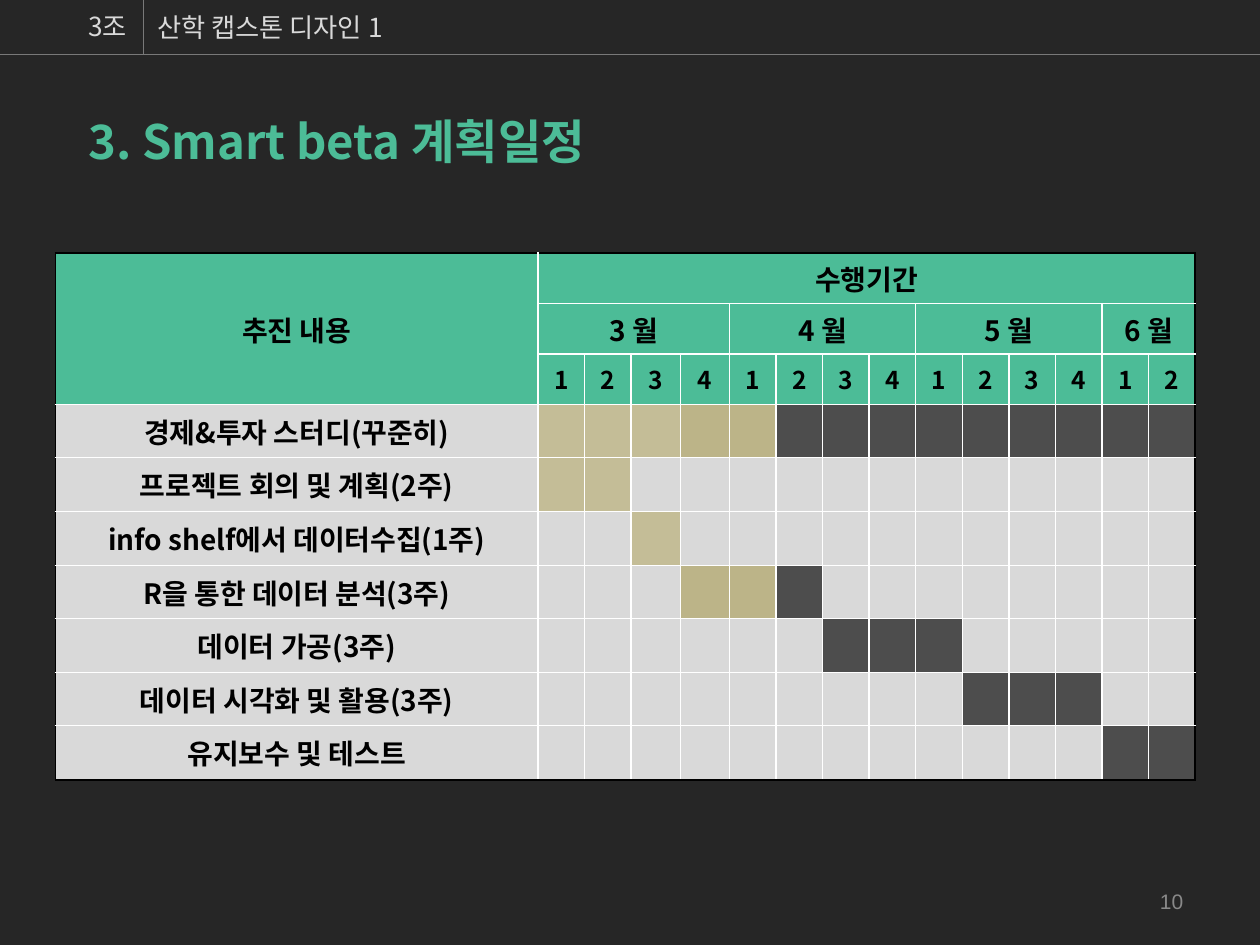
from lxml.etree import SubElement
from pptx import Presentation
from pptx.dml.color import RGBColor
from pptx.enum.lang import MSO_LANGUAGE_ID as Language
from pptx.enum.shapes import MSO_CONNECTOR
from pptx.enum.text import MSO_ANCHOR as Anchor, MSO_AUTO_SIZE as AutoSize, PP_ALIGN as Align
from pptx.oxml import parse_xml
from pptx.oxml.ns import nsdecls, qn
from pptx.util import Inches, Pt

KOREAN_FONT = "Noto Sans CJK KR"
GREEN, LIGHT, DARK = "4CBC97", "D9D9D9", "4D4D4D"
TAN, DEEP_TAN = "C4BD97", "BCB488"
BLACK, WHITE = "000000", "FFFFFF"

COLUMN_WIDTHS = [3.83, 0.37, 0.37, 0.39, 0.39] + [0.37] * 10
ROW_HEIGHTS = [0.4, 0.4, 0.4, 0.42, 0.43, 0.43, 0.42, 0.43, 0.42, 0.43]
MONTHS = [("3 월", 4), ("4 월", 4), ("5 월", 4), ("6 월", 2)]

# Each task has bars of (first week, number of weeks, colour)
TASKS = [
    ("경제&투자 스터디(꾸준히)", [(1, 3, TAN), (4, 2, DEEP_TAN), (6, 9, DARK)]),
    ("프로젝트 회의 및 계획(2주)", [(1, 2, TAN)]),
    ("info shelf에서 데이터수집(1주)", [(3, 1, TAN)]),
    ("R을 통한 데이터 분석(3주)", [(4, 2, DEEP_TAN), (6, 1, DARK)]),
    ("데이터 가공(3주)", [(7, 3, DARK)]),
    ("데이터 시각화 및 활용(3주)", [(10, 3, DARK)]),
    ("유지보수 및 테스트", [(13, 2, DARK)]),
]


def color(value):
    return RGBColor.from_string(value)


def set_text(text_frame, text, size, text_color, bold=False, align=Align.LEFT, font_name=KOREAN_FONT):
    text_frame.text = text
    paragraph = text_frame.paragraphs[0]
    paragraph.alignment = align
    font = paragraph.runs[0].font
    font.size, font.bold, font.name = Pt(size), bold, font_name
    font.color.rgb = color(text_color)
    for script_tag in ("a:ea", "a:cs"):
        SubElement(font._element, qn(script_tag)).set("typeface", font_name)


def add_text(slide, left, top, width, height, text, size, text_color, **style):
    shape = slide.shapes.add_textbox(Inches(left), Inches(top), Inches(width), Inches(height))
    shape.text_frame.word_wrap = True
    set_text(shape.text_frame, text, size, text_color, **style)
    return shape


def add_title(slide, text):
    title = slide.shapes.title
    title.left, title.top = Inches(0.6), Inches(0.84)
    title.width, title.height = Inches(5.98), Inches(0.55)
    text_frame = title.text_frame
    text_frame.auto_size = AutoSize.NONE
    text_frame.word_wrap = True
    text_frame.vertical_anchor = Anchor.TOP
    set_text(text_frame, text, 27, GREEN, bold=True)


def add_page_number(slide, text):
    shape = add_text(slide, 7.16, 6.95, 2.33, 0.4, text, 12, "898989",
                     align=Align.RIGHT, font_name="Arial")
    shape.text_frame.vertical_anchor = Anchor.MIDDLE
    shape.text_frame.paragraphs[0].runs[0].font.language_id = Language.ENGLISH_US


def add_line(slide, x1, y1, x2, y2):
    line = slide.shapes.add_connector(
        MSO_CONNECTOR.STRAIGHT, Inches(x1), Inches(y1), Inches(x2), Inches(y2))
    line.line.color.rgb = color("797979")
    line.line.width = Pt(0.75)
    SubElement(line._element.spPr, qn("a:effectLst"))


def set_borders(cell, **sides):
    properties = cell._tc.get_or_add_tcPr()
    for index, side in enumerate("LRTB"):
        border = parse_xml(
            f'<a:ln{side} {nsdecls("a")} w="12700"><a:solidFill>'
            f'<a:srgbClr val="{sides[side]}"/></a:solidFill></a:ln{side}>')
        properties.insert(index, border)


def format_cells(table):
    last_row, last_column = len(ROW_HEIGHTS) - 1, len(COLUMN_WIDTHS) - 1
    for row in range(last_row + 1):
        for column in range(last_column + 1):
            cell = table.cell(row, column)
            cell.margin_left = cell.margin_right = Inches(0.02)
            cell.margin_top = cell.margin_bottom = Inches(0.02)
            cell.vertical_anchor = Anchor.MIDDLE
            cell.fill.solid()
            cell.fill.fore_color.rgb = color(GREEN if row < 3 else LIGHT)
            right_column = column + cell.span_width - 1
            set_borders(
                cell,
                L=BLACK if column == 0 else WHITE,
                R=BLACK if right_column == last_column else WHITE,
                T=BLACK if row == 0 else WHITE,
                B=BLACK if row == last_row else WHITE)


def set_label(table, row, column, text, size=16):
    set_text(table.cell(row, column).text_frame, text, size, BLACK, bold=True, align=Align.CENTER)


def fill_header(table):
    table.cell(0, 0).merge(table.cell(2, 0))
    table.cell(0, 1).merge(table.cell(0, 14))
    set_label(table, 0, 0, "추진 내용")
    set_label(table, 0, 1, "수행기간")
    column = 1
    for month, weeks in MONTHS:
        table.cell(1, column).merge(table.cell(1, column + weeks - 1))
        set_label(table, 1, column, month)
        for week in range(weeks):
            set_label(table, 2, column + week, str(week + 1), size=14)
        column += weeks


def fill_tasks(table):
    for row, (task, bars) in enumerate(TASKS, start=3):
        set_label(table, row, 0, task)
        for first, count, bar_color in bars:
            for week in range(first, first + count):
                table.cell(row, week).fill.fore_color.rgb = color(bar_color)


def add_schedule(slide):
    table = slide.shapes.add_table(
        len(ROW_HEIGHTS), len(COLUMN_WIDTHS),
        Inches(0.44), Inches(2.01), Inches(9.05), Inches(4.18)).table
    for column, width in zip(table.columns, COLUMN_WIDTHS):
        column.width = Inches(width)
    for row, height in zip(table.rows, ROW_HEIGHTS):
        row.height = Inches(height)
    fill_header(table)
    format_cells(table)
    fill_tasks(table)


def main():
    presentation = Presentation()
    presentation.slide_width, presentation.slide_height = Inches(10), Inches(7.5)
    slide = presentation.slides.add_slide(presentation.slide_layouts[5])
    slide.background.fill.solid()
    slide.background.fill.fore_color.rgb = color("262626")

    # Schedule
    add_schedule(slide)

    # Header strip
    add_line(slide, 0, 0.43, 10, 0.43)
    add_line(slide, 1.14, 0, 1.14, 0.43)
    add_text(slide, 0.6, 0.03, 0.71, 0.35, "3조", 15, LIGHT)
    add_text(slide, 1.15, 0.04, 3.78, 0.34, "산학 캡스톤 디자인 1", 15, LIGHT)

    # Title and page number
    add_title(slide, "3. Smart beta 계획일정")
    add_page_number(slide, "10")

    presentation.save("out.pptx")


if __name__ == "__main__":
    main()
